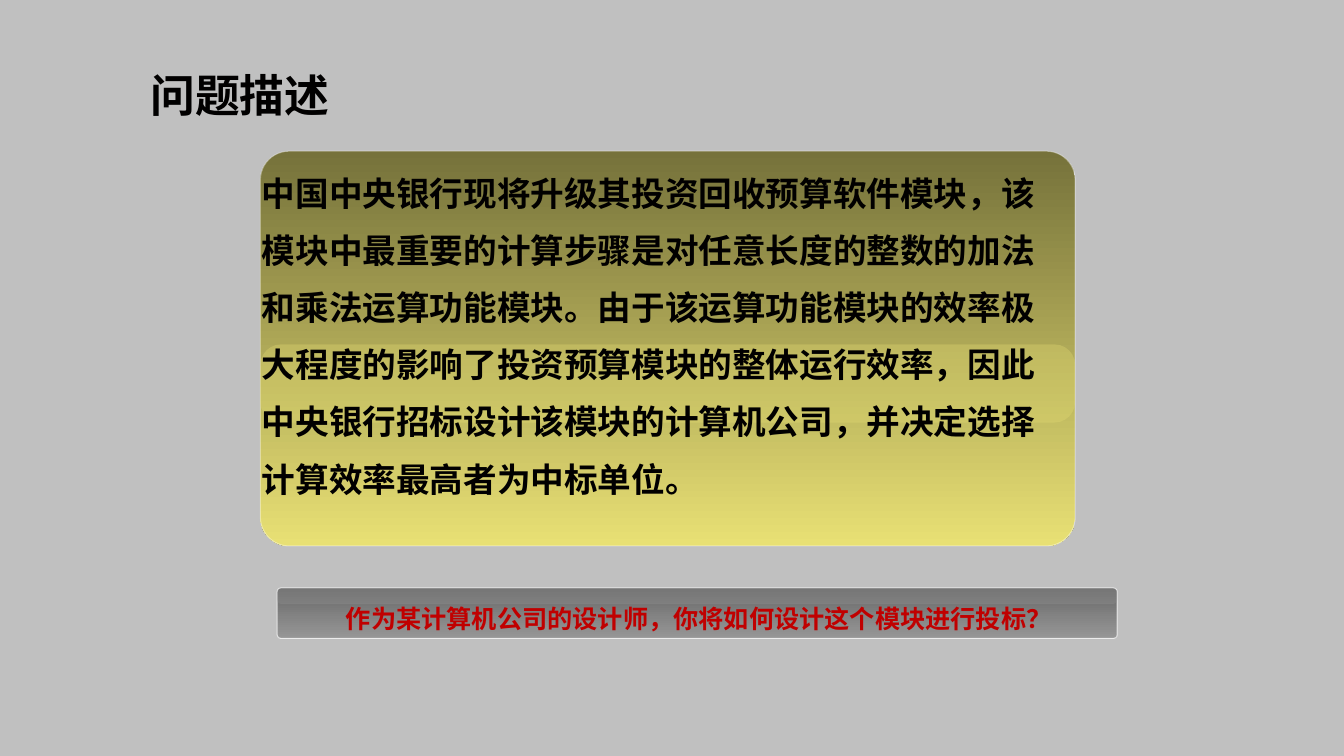
import dataclasses
import typing

import lxml.etree
import pptx
import pptx.dml.color
import pptx.enum.shapes
import pptx.enum.text
import pptx.oxml.ns
import pptx.util

COLUMNS, ROWS = 160, 90
CELL = pptx.util.Inches(7.5) / ROWS


@dataclasses.dataclass(frozen=True)
class Theme:
    background: str = "C0C0C0"
    ink: str = "010000"
    accent: str = "C00000"
    outline: str = "FFFFFF"
    olive: str = "76723B"
    yellow: str = "E8E074"
    dark_grey: str = "696969"
    light_grey: str = "969696"
    title_font: str = "Lato"
    body_font: str = "Arial"
    title_size: int = 32
    body_size: int = 24
    question_size: int = 18


@dataclasses.dataclass(frozen=True)
class Place:
    column: float
    row: float
    columns: float
    rows: float

    def lengths(self) -> list[int]:
        return [round(CELL * count) for count in dataclasses.astuple(self)]


@dataclasses.dataclass(frozen=True)
class Panel:
    place: Place
    gloss_place: Place
    top_color: str
    bottom_color: str
    outline_opacity: int


@dataclasses.dataclass(frozen=True)
class Passage:
    place: Place
    lines: tuple[str, ...]
    size: int
    color: str


THEME = Theme()
TITLE = Passage(Place(16.7, 7.3, 108, 9), ("问题描述",), THEME.title_size, THEME.ink)
PANELS = (
    Panel(Place(31, 18, 97, 47), Place(31, 41, 97, 9.3), THEME.olive, THEME.yellow, 40),
    Panel(Place(33, 70, 100, 6), Place(33, 70, 100, 1.9), THEME.dark_grey, THEME.light_grey, 70),
)
PASSAGES = (
    Passage(
        Place(30, 20, 97, 49.7),
        (
            "中国中央银行现将升级其投资回收预算软件模块，该",
            "模块中最重要的计算步骤是对任意长度的整数的加法",
            "和乘法运算功能模块。由于该运算功能模块的效率极",
            "大程度的影响了投资预算模块的整体运行效率，因此",
            "中央银行招标设计该模块的计算机公司，并决定选择",
            "计算效率最高者为中标单位。",
        ),
        THEME.body_size,
        THEME.ink,
    ),
    Passage(
        Place(40, 71.2, 85, 4.8),
        ("作为某计算机公司的设计师，你将如何设计这个模块进行投标？",),
        THEME.question_size,
        THEME.accent,
    ),
)


def rgb(color: str) -> pptx.dml.color.RGBColor:
    return pptx.dml.color.RGBColor.from_string(color)


def set_opacity(fill_parent: typing.Any, percent: int) -> None:
    color = next(fill_parent.iter(pptx.oxml.ns.qn("a:srgbClr")))
    lxml.etree.SubElement(color, pptx.oxml.ns.qn("a:alpha"), val=str(percent * 1000))


def add_round_box(shapes: typing.Any, place: Place, rounding: float) -> typing.Any:
    box = shapes.add_shape(pptx.enum.shapes.MSO_SHAPE.ROUNDED_RECTANGLE, *place.lengths())
    box.adjustments[0] = rounding
    box.shadow.inherit = False
    return box


def add_panel(page: typing.Any, panel: Panel) -> None:
    group = page.shapes.add_group_shape()
    base = add_round_box(group.shapes, panel.place, 0.073)
    base.fill.gradient()
    base.fill.gradient_angle = 270
    for stop, color in zip(base.fill.gradient_stops, (panel.top_color, panel.bottom_color)):
        stop.color.rgb = rgb(color)
    base.line.color.rgb = rgb(THEME.outline)
    base.line.width = pptx.util.Pt(0.75)
    set_opacity(base.line._ln, panel.outline_opacity)

    gloss = add_round_box(group.shapes, panel.gloss_place, 0.264)
    gloss.fill.solid()
    gloss.fill.fore_color.rgb = rgb(panel.bottom_color)
    set_opacity(gloss._element.spPr, 30)
    gloss.line.fill.background()


def style_paragraph(para: typing.Any, passage: Passage, font_name: str) -> None:
    para.alignment = pptx.enum.text.PP_ALIGN.LEFT
    para.font.name = font_name
    para.font.size = pptx.util.Pt(passage.size)
    para.font.bold = True
    para.font.color.rgb = rgb(passage.color)


def add_title(page: typing.Any, passage: Passage) -> None:
    title = page.shapes.title
    title.left, title.top, title.width, title.height = passage.place.lengths()
    title.text_frame.text = passage.lines[0]
    title.text_frame.vertical_anchor = pptx.enum.text.MSO_ANCHOR.MIDDLE
    para = title.text_frame.paragraphs[0]
    para.line_spacing = 0.85
    style_paragraph(para, passage, THEME.title_font)


def add_passage(page: typing.Any, passage: Passage) -> None:
    frame = page.shapes.add_textbox(*passage.place.lengths()).text_frame
    frame.word_wrap = True
    frame.text = "\n".join(passage.lines)
    for index, para in enumerate(frame.paragraphs):
        if index:
            para.space_before = pptx.util.Pt(passage.size / 2)
        style_paragraph(para, passage, THEME.body_font)


def main() -> None:
    deck = pptx.Presentation()
    deck.slide_width, deck.slide_height = round(CELL * COLUMNS), round(CELL * ROWS)
    page = deck.slides.add_slide(deck.slide_layouts.get_by_name("Title Only"))
    page.background.fill.solid()
    page.background.fill.fore_color.rgb = rgb(THEME.background)
    add_title(page, TITLE)
    for panel in PANELS:
        add_panel(page, panel)
    for passage in PASSAGES:
        add_passage(page, passage)
    deck.save("out.pptx")


if __name__ == "__main__":
    main()
